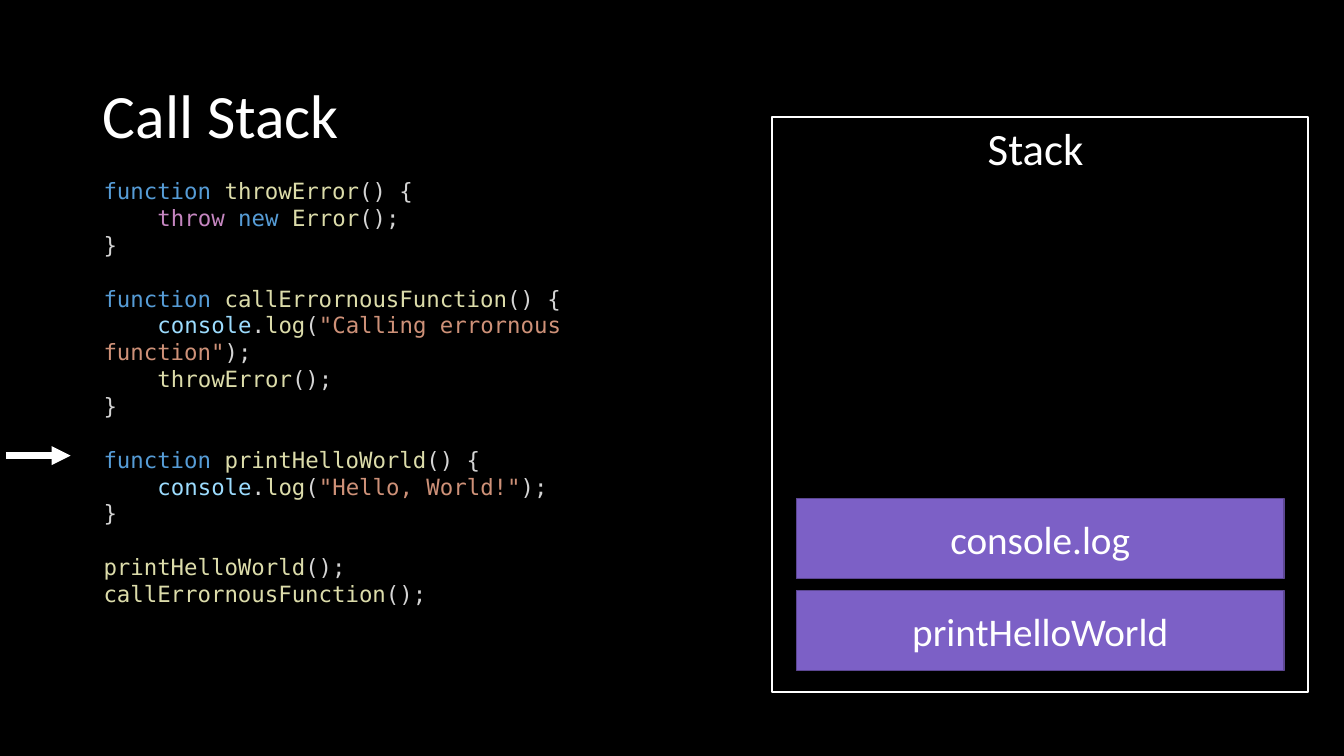
from lxml.etree import SubElement
from pptx import Presentation
from pptx.dml.color import RGBColor
from pptx.enum.shapes import MSO_CONNECTOR, MSO_SHAPE
from pptx.enum.text import MSO_ANCHOR, PP_ALIGN
from pptx.oxml.ns import qn
from pptx.util import Cm, Pt

BLACK = RGBColor(0x00, 0x00, 0x00)
WHITE = RGBColor(0xFF, 0xFF, 0xFF)
PURPLE = RGBColor(0x7C, 0x60, 0xC6)
DARK_PURPLE = RGBColor(0x5C, 0x47, 0x92)

# Syntax colours
KEYWORD = RGBColor(0x56, 0x9C, 0xD6)
CONTROL = RGBColor(0xC5, 0x86, 0xC0)
NAME = RGBColor(0xDC, 0xDC, 0xAA)
OBJECT = RGBColor(0x9C, 0xDC, 0xFE)
STRING = RGBColor(0xCE, 0x91, 0x78)
PLAIN = RGBColor(0xD4, 0xD4, 0xD4)


def declaration(name):
    return [("function ", KEYWORD), (name, NAME), ("() {", PLAIN)]


def call(name):
    return [(name, NAME), ("();", PLAIN)]


def log(message):
    return [("console", OBJECT), (".", PLAIN), ("log", NAME), ("(", PLAIN),
            (f'"{message}"', STRING), (");", PLAIN)]


# Each block is a list of (indent level, tokens)
CLOSING = (0, [("}", PLAIN)])
CODE_BLOCKS = [
    [(0, declaration("throwError")),
     (1, [("throw ", CONTROL), ("new ", KEYWORD)] + call("Error")),
     CLOSING],
    [(0, declaration("callErrornousFunction")),
     (1, log("Calling errornous function")),
     (1, call("throwError")),
     CLOSING],
    [(0, declaration("printHelloWorld")),
     (1, log("Hello, World!")),
     CLOSING],
    [(0, call("printHelloWorld")),
     (0, call("callErrornousFunction"))],
]
STACK_CALLS = ["printHelloWorld", "console.log"]  # bottom of the stack first


class StackSlide:
    text_font = "Calibri"
    code_font = "DejaVu Sans Mono"
    code_size = Pt(16)
    code_line = Pt(19.2)
    code_indent = Cm(1.36)

    def __init__(self, presentation):
        self.slide = presentation.slides.add_slide(presentation.slide_layouts[6])
        self.shapes = self.slide.shapes
        background = self.slide.background.fill
        background.solid()
        background.fore_color.rgb = BLACK

    def style_font(self, font, name, size, color):
        font.name = name
        font.size = size
        font.color.rgb = color

    def set_text(self, shape, text, size, alignment, anchor):
        frame = shape.text_frame
        frame.text = text
        frame.word_wrap = True
        frame.vertical_anchor = anchor
        paragraph = frame.paragraphs[0]
        paragraph.alignment = alignment
        self.style_font(paragraph.runs[0].font, self.text_font, Pt(size), WHITE)

    def label(self, text, left, top, width, height, size,
              alignment=PP_ALIGN.LEFT, anchor=MSO_ANCHOR.TOP):
        box = self.shapes.add_textbox(Cm(left), Cm(top), Cm(width), Cm(height))
        self.set_text(box, text, size, alignment, anchor)

    def rectangle(self, left, top, width, height, line_color, line_width, fill_color=None):
        shape = self.shapes.add_shape(
            MSO_SHAPE.RECTANGLE, Cm(left), Cm(top), Cm(width), Cm(height))
        shape.shadow.inherit = False
        shape.line.color.rgb = line_color
        shape.line.width = Pt(line_width)
        if fill_color is None:
            shape.fill.background()
        else:
            shape.fill.solid()
            shape.fill.fore_color.rgb = fill_color
        return shape

    def stack_call(self, text, left, top, width, height):
        shape = self.rectangle(left, top, width, height, DARK_PURPLE, 1, PURPLE)
        self.set_text(shape, text, 28, PP_ALIGN.CENTER, MSO_ANCHOR.MIDDLE)

    def code(self, blocks, left, top, width, height):
        frame = self.shapes.add_textbox(
            Cm(left), Cm(top), Cm(width), Cm(height)).text_frame
        frame.word_wrap = True
        paragraph = None
        for block_number, block in enumerate(blocks):
            for line_number, (level, tokens) in enumerate(block):
                paragraph = frame.add_paragraph() if paragraph else frame.paragraphs[0]
                paragraph.line_spacing = self.code_line
                if block_number and line_number == 0:
                    paragraph.space_before = self.code_line
                if level:
                    # First-line indent only: a wrapped line starts at the margin
                    properties = paragraph._p.get_or_add_pPr()
                    properties.set("marL", "0")
                    properties.set("indent", str(level * self.code_indent))
                for text, color in tokens:
                    run = paragraph.add_run()
                    run.text = text
                    self.style_font(run.font, self.code_font, self.code_size, color)

    def arrow(self, start_x, end_x, y):
        connector = self.shapes.add_connector(
            MSO_CONNECTOR.STRAIGHT, Cm(start_x), Cm(y), Cm(end_x), Cm(y))
        connector.line.color.rgb = WHITE
        connector.line.width = Pt(4.5)
        properties = connector._element.spPr
        SubElement(properties.find(qn("a:ln")), qn("a:tailEnd"), type="triangle")
        SubElement(properties, qn("a:effectLst"))


def main():
    presentation = Presentation()
    presentation.slide_width = Cm(33.87)
    presentation.slide_height = Cm(19.05)

    slide = StackSlide(presentation)
    slide.rectangle(19.46, 2.95, 13.51, 14.48, WHITE, 1.5)
    slide.label("Stack", 21.97, 2.92, 8.26, 1.63, 32, PP_ALIGN.CENTER)
    for position, name in enumerate(STACK_CALLS):
        slide.stack_call(name, 20.07, 14.88 - 2.31 * position, 12.29, 2.01)
    slide.code(CODE_BLOCKS, 2.36, 4.34, 15.85, 11.53)
    slide.label("Call Stack", 2.34, 1.02, 29.21, 3.68, 44, anchor=MSO_ANCHOR.MIDDLE)
    slide.arrow(0.15, 1.78, 11.48)

    presentation.save("out.pptx")


if __name__ == "__main__":
    main()
